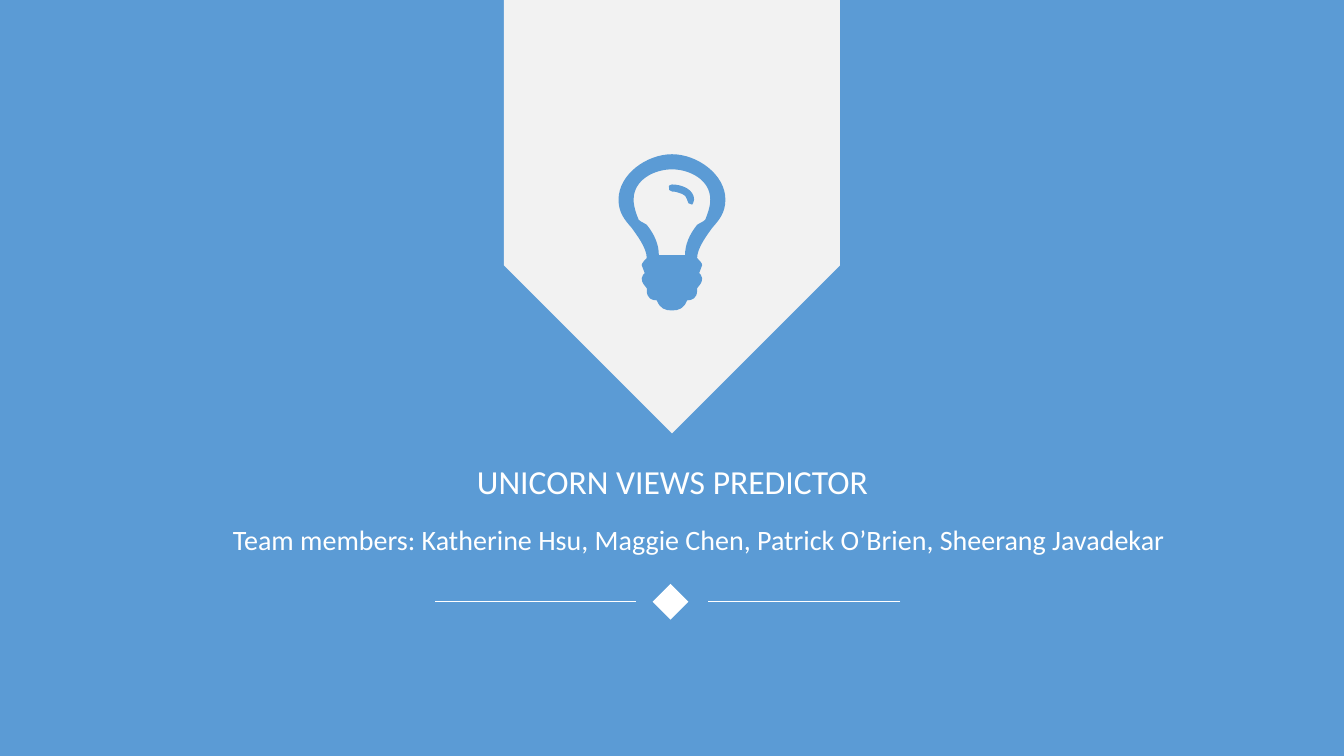
from dataclasses import dataclass

from lxml import etree
from pptx import Presentation
from pptx import util as u
from pptx.dml.color import RGBColor
from pptx.enum import shapes, text
from pptx.oxml.ns import qn


@dataclass(frozen=True)
class Theme:
    blue: RGBColor = RGBColor.from_string("5B9BD5")
    pale: RGBColor = RGBColor.from_string("F2F2F2")
    white: RGBColor = RGBColor.from_string("FFFFFF")
    font: str = "Calibri"
    title_size: int = 24
    team_size: int = 20
    rule_width: float = 0.5


THEME = Theme()
WIDTH, HEIGHT = 13.33, 7.5

# Bulb curves in inches from its top centre: a start, then three points
# for each cubic segment. The first two are right halves, to be mirrored.
GLASS_HALF = [(0, 0),
              (.25, 0), (.53, .2), (.53, .45), (.53, .58), (.47, .65), (.4, .73),
              (.35, .8), (.25, .93), (.25, 1.03), (.27, 1.05), (.3, 1.08), (.3, 1.1),
              (.3, 1.13), (.27, 1.15), (.27, 1.18), (.27, 1.18), (.3, 1.2), (.3, 1.23),
              (.3, 1.28), (.27, 1.3), (.25, 1.33), (.25, 1.33), (.25, 1.35), (.25, 1.35),
              (.25, 1.43), (.2, 1.45), (.15, 1.45), (.12, 1.53), (.07, 1.55), (0, 1.55)]
HOLLOW_HALF = [(0, .15),
               (.17, .15), (.38, .25), (.38, .45), (.38, .53), (.35, .6), (.33, .65),
               (.3, .68), (.27, .68), (.25, .7), (.17, .8), (.13, .9), (.13, 1),
               (0, 1), (0, 1), (0, 1)]
GLINT = [(.2, .5),
         (.17, .5), (.15, .48), (.15, .45), (.15, .4), (.05, .37), (0, .37),
         (-.03, .37), (-.03, .35), (-.03, .32), (-.03, .32), (-.03, .3), (0, .3),
         (.1, .3), (.22, .35), (.22, .45), (.22, .48), (.2, .5), (.2, .5)]


def paint(shape, color):
    shape.fill.solid()
    shape.fill.fore_color.rgb = color
    shape.line.fill.background()
    shape.shadow.inherit = False
    return shape


def add_block(page, kind, box, color, rotation=0):
    shape = page.shapes.add_shape(kind, *map(u.Inches, box))
    shape.rotation = rotation
    return paint(shape, color)


def write_text(holder, box, words, size, align):
    holder.left, holder.top, holder.width, holder.height = map(u.Inches, box)
    frame = holder.text_frame
    frame.word_wrap = True
    frame.auto_size = text.MSO_AUTO_SIZE.SHAPE_TO_FIT_TEXT
    frame.vertical_anchor = text.MSO_ANCHOR.TOP
    para = frame.paragraphs[0]
    para.alignment = align
    para.space_before = u.Pt(0)
    span = para.add_run()
    span.text = words
    span.font.name = THEME.font
    span.font.size = u.Pt(size)
    span.font.color.rgb = THEME.white


def mirror(half):
    return half + [(-x, y) for x, y in reversed(half[:-1])]


def bend(shape):
    """Join every three line segments of an outline into one cubic curve."""
    segments = list(shape.element.iter(qn("a:lnTo")))
    for first in range(0, len(segments), 3):
        curve = etree.Element(qn("a:cubicBezTo"))
        segments[first].addprevious(curve)
        for segment in segments[first:first + 3]:
            curve.append(segment[0])
            segment.getparent().remove(segment)


def add_bulb(page, center, top):
    builder = None
    for contour in (mirror(GLASS_HALF), mirror(HOLLOW_HALF), GLINT):
        points = [(u.Inches(center + x), u.Inches(top + y)) for x, y in contour]
        if builder is None:
            builder = page.shapes.build_freeform(*points[0])
        else:
            builder.move_to(*points[0])
        builder.add_line_segments(points[1:], close=True)
    bend(paint(builder.convert_to_shape(), THEME.blue))


def add_banner(page, left, top, width, height):
    # The pentagon points right until it is turned, so its sides are swapped
    shift = (height - width) / 2
    box = left - shift, top + shift, height, width
    add_block(page, shapes.MSO_SHAPE.PENTAGON, box, THEME.pale, rotation=90)
    add_bulb(page, left + width / 2, top + 1.53)


def add_rule(page, start, end, y):
    rule = page.shapes.add_connector(shapes.MSO_CONNECTOR.STRAIGHT,
                                     *map(u.Inches, (start, y, end, y)))
    rule.line.color.rgb = THEME.white
    rule.line.width = u.Pt(THEME.rule_width)
    etree.SubElement(rule.element.spPr, qn("a:effectLst"))


def add_divider(page, center, y, side=0.25):
    box = center - side / 2, y - side / 2, side, side
    add_block(page, shapes.MSO_SHAPE.RECTANGLE, box, THEME.white, rotation=45)
    for start, end in ((-0.34, -2.34), (2.28, 0.37)):
        add_rule(page, center + start, center + end, y)


def build_cover(deck):
    page = deck.slides.add_slide(deck.slide_layouts[0])
    title, team = page.placeholders

    # Backdrop, sent behind the placeholders
    backdrop = add_block(page, shapes.MSO_SHAPE.RECTANGLE,
                         (0, 0, WIDTH, HEIGHT), THEME.blue)
    title.element.getparent().insert(2, backdrop.element)

    # Title and team
    write_text(title, (2.93, 4.52, 7.48, 0.5), "UNICORN VIEWS PREDICTOR",
               THEME.title_size, text.PP_ALIGN.CENTER)
    write_text(team, (2.21, 5.13, 11.53, 0.44),
               "Team members: Katherine Hsu, Maggie Chen, Patrick O’Brien, "
               "Sheerang Javadekar", THEME.team_size, text.PP_ALIGN.LEFT)

    # Ornaments
    add_divider(page, 6.65, 5.97)
    add_banner(page, WIDTH * 3 / 8, 0, WIDTH / 4, 4.3)


def main():
    deck = Presentation()
    deck.slide_width, deck.slide_height = u.Inches(WIDTH), u.Inches(HEIGHT)
    build_cover(deck)
    deck.save("out.pptx")


if __name__ == "__main__":
    main()
